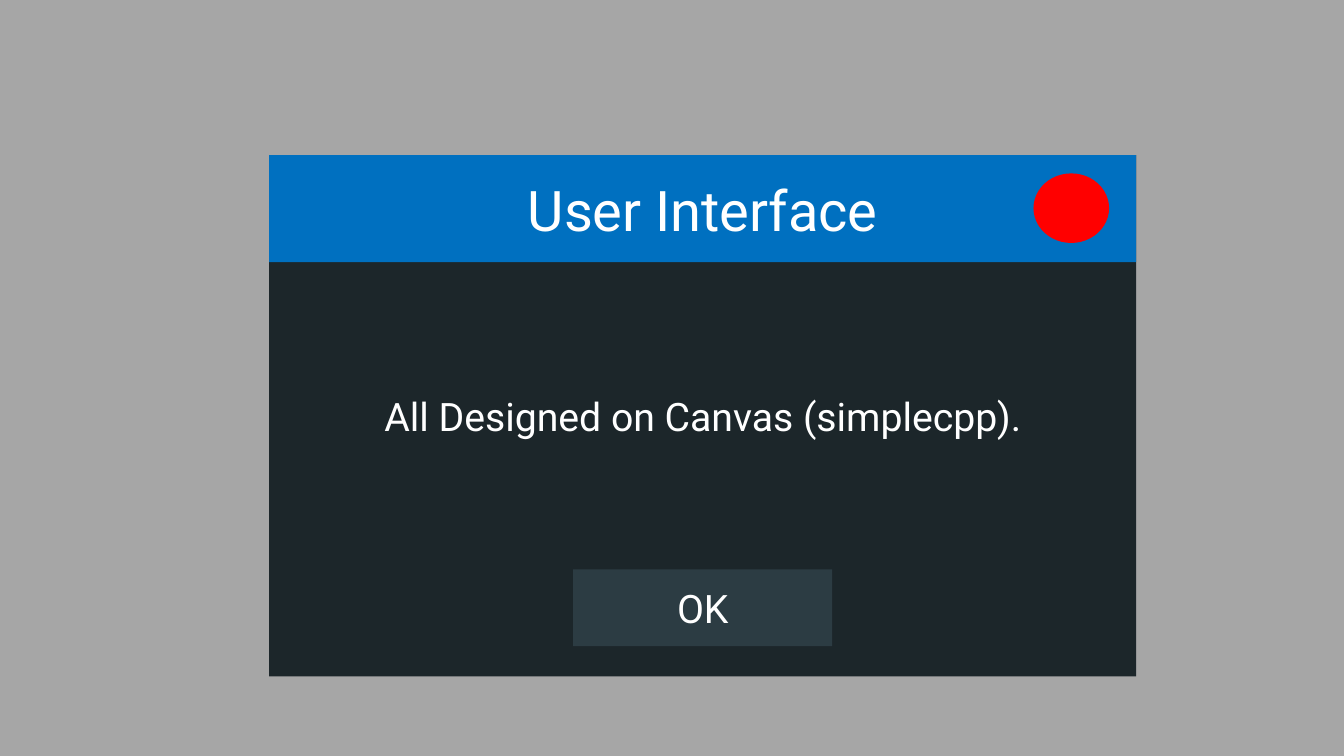
from pptx import Presentation
from pptx.dml.color import RGBColor
from pptx.enum.shapes import MSO_SHAPE
from pptx.enum.text import MSO_ANCHOR, PP_ALIGN
from pptx.util import Inches, Pt

RECTANGLE, OVAL = MSO_SHAPE.RECTANGLE, MSO_SHAPE.OVAL
MIDDLE, CENTER = MSO_ANCHOR.MIDDLE, PP_ALIGN.CENTER

COLORS = {
    "backdrop": "A6A6A6",
    "window": "1C262A",
    "title_bar": "0070C0",
    "close": "FF0000",
    "button": "2C3C43",
    "text": "FFFFFF",
}


class DialogSlide:
    font = "Roboto"

    def __init__(self, deck):
        self.slide = deck.slides.add_slide(deck.slide_layouts[6])

    def paint(self, fill, color):
        fill.solid()
        fill.fore_color.rgb = RGBColor.from_string(COLORS[color])

    def background(self, color):
        self.paint(self.slide.background.fill, color)

    def shape(self, kind, left, top, width, height, color):
        shape = self.slide.shapes.add_shape(
            kind, Inches(left), Inches(top), Inches(width), Inches(height))
        shape.shadow.inherit = False
        shape.line.fill.background()
        self.paint(shape.fill, color)
        return shape

    def label(self, shape, text, size):
        frame = shape.text_frame
        frame.word_wrap = True
        frame.vertical_anchor = MIDDLE
        para = frame.paragraphs[0]
        para.alignment = CENTER
        span = para.add_run()
        span.text = text
        span.font.name = self.font
        span.font.size = Pt(size)
        span.font.color.rgb = RGBColor.from_string(COLORS["text"])


def main():
    deck = Presentation()
    deck.slide_width, deck.slide_height = Inches(13.33), Inches(7.5)
    page = DialogSlide(deck)
    page.background("backdrop")

    # Dialog window with its message
    left, top, width = 2.67, 1.54, 8.6
    window = page.shape(RECTANGLE, left, top, width, 5.17, "window")
    page.label(window, "All Designed on Canvas (simplecpp).", 28)

    # Title bar and close button
    title_bar = page.shape(RECTANGLE, left, top, width, 1.06, "title_bar")
    page.label(title_bar, "User Interface", 40)
    page.shape(OVAL, 10.25, 1.72, 0.75, 0.69, "close")

    # OK button, centred in the window
    button_width = 2.57
    button_left = left + (width - button_width) / 2
    button = page.shape(RECTANGLE, button_left, 5.65, button_width, 0.76, "button")
    page.label(button, "OK", 28)

    deck.save("out.pptx")


if __name__ == "__main__":
    main()
